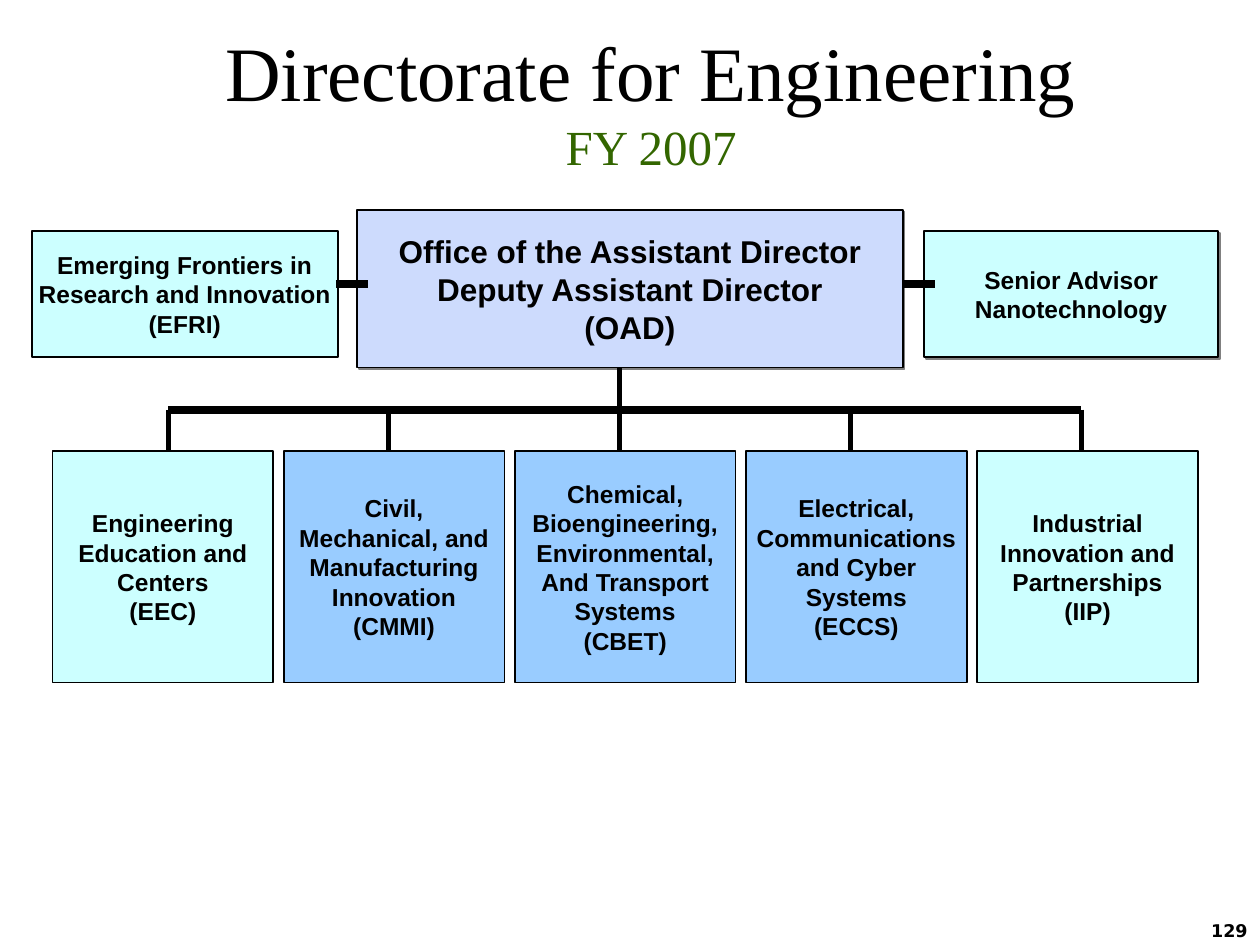
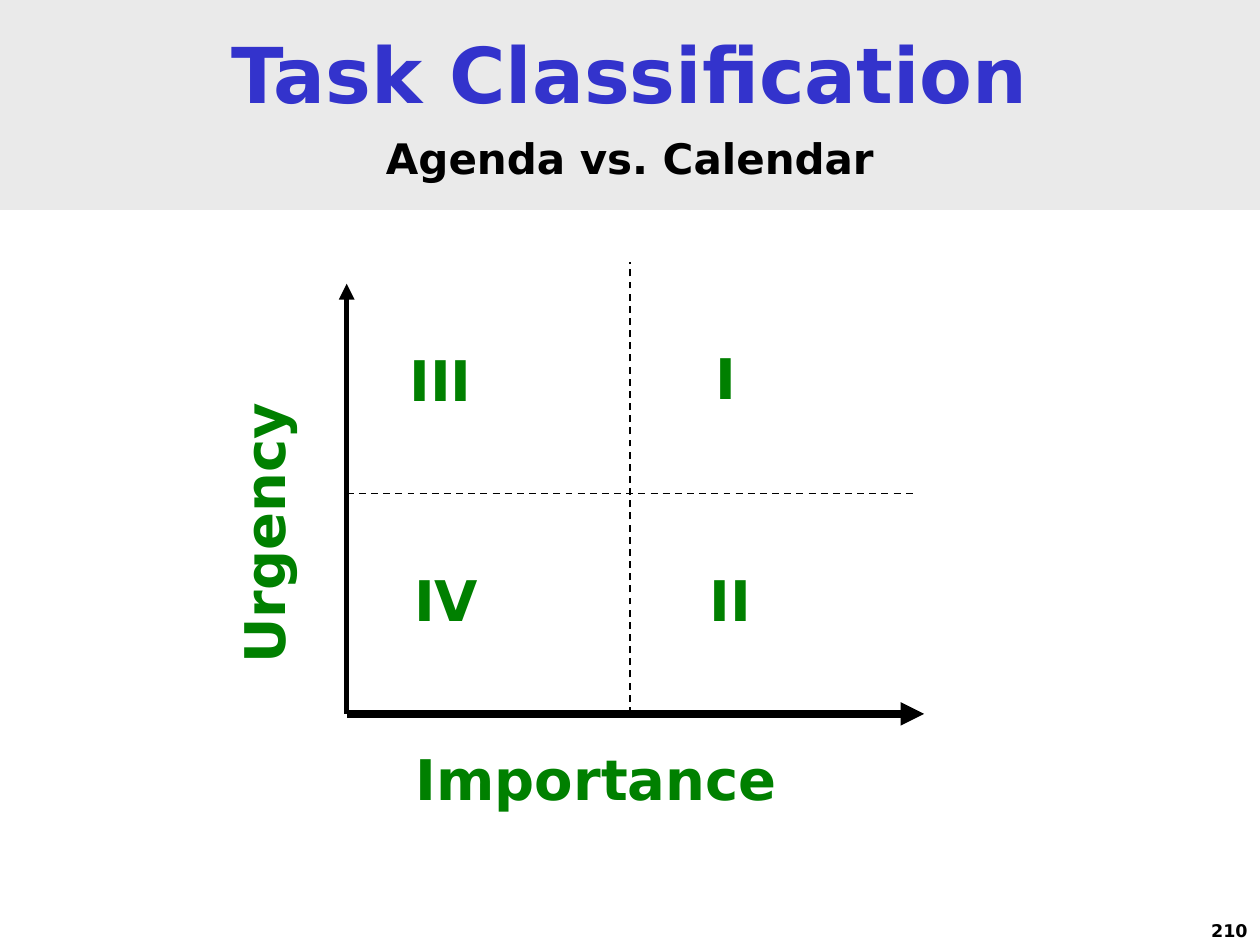
from dataclasses import dataclass

from lxml.etree import SubElement
from pptx import Presentation
from pptx.dml.color import RGBColor as RGB
from pptx.enum.dml import MSO_LINE_DASH_STYLE as DASH
from pptx.enum.shapes import MSO_CONNECTOR as CONN, MSO_SHAPE as SHAPE
from pptx.enum.text import MSO_ANCHOR as ANCHOR, MSO_AUTO_SIZE as FIT, PP_ALIGN as ALIGN
from pptx.oxml.ns import qn
from pptx.util import Cm, Pt


@dataclass(frozen=True)
class Theme:
    black: str = "000000"
    green: str = "336600"
    axis_green: str = "008000"
    blue: str = "3333CC"
    band: str = "EAEAEA"
    office: str = "CDDBFD"
    pale: str = "CCFFFF"
    division: str = "99CCFF"
    shadow: str = "808080"
    serif: str = "Times New Roman"
    sans: str = "Arial"
    wide: str = "DejaVu Sans"
    title: int = 44
    year: int = 28
    subtitle: int = 24
    label: int = 32
    lead: int = 18
    box: int = 14
    number: int = 10


T = Theme()


def write(tf, text, size, font, color=T.black, bold=True, align=ALIGN.CENTER,
          anchor=ANCHOR.MIDDLE, wrap=True, spacing=None, before=0, add=False):
    """Write one paragraph per line of text; add=True continues the frame."""
    tf.auto_size, tf.word_wrap, tf.vertical_anchor = FIT.NONE, wrap, anchor
    for i, row in enumerate(text.split("\n")):
        p = tf.add_paragraph() if add or i else tf.paragraphs[0]
        p.alignment = align
        if spacing:
            p.line_spacing = spacing
        if before:
            p.space_before = Pt(before)
        r = p.add_run()
        r.text = row
        r.font.size, r.font.name, r.font.bold = Pt(size), font, bold
        r.font.color.rgb = RGB.from_string(color)


def line(s, x1, y1, x2, y2, width, dash=False, arrow=False):
    c = s.shapes.add_connector(CONN.STRAIGHT, Cm(x1), Cm(y1), Cm(x2), Cm(y2))
    c.line.width = Pt(width)
    c.line.color.rgb = RGB.from_string(T.black)
    if dash:
        c.line.dash_style = DASH.DASH
    if arrow:
        SubElement(c.line._get_or_add_ln(), qn("a:tailEnd"), type="triangle")
    SubElement(c._element.spPr, qn("a:effectLst"))


prs = Presentation()
prs.slide_width, prs.slide_height = Cm(25.4), Cm(19.05)

# Shared frame: title placeholder and page number
slides = []
for number, (x, y, w, h) in (("129", (2.33, 0.42, 21.59, 3.18)),
                             ("210", (0, 0, 25.4, 4.23))):
    s = prs.slides.add_slide(prs.slide_layouts[5])
    title = s.shapes.title
    title.left, title.top, title.width, title.height = Cm(x), Cm(y), Cm(w), Cm(h)
    sp = s.shapes.add_textbox(Cm(20.12), Cm(18.42), Cm(5.28), Cm(1.27))
    write(sp.text_frame, number, T.number, T.wide, align=ALIGN.RIGHT, anchor=ANCHOR.TOP)
    slides.append(s)
org, tasks = slides

# Slide 1: title
tf = org.shapes.title.text_frame
tf.margin_left = tf.margin_right = tf.margin_top = tf.margin_bottom = 0
write(tf, "Directorate for Engineering", T.title, T.serif, bold=False)
write(tf, "FY 2007", T.year, T.serif, T.green, bold=False, add=True)

# Slide 1: boxes, as text, place, fill, type size and shadow
divisions = (
    ("Engineering\nEducation and\nCenters\n(EEC)", T.pale),
    ("Civil,\nMechanical, and\nManufacturing\nInnovation\n(CMMI)", T.division),
    ("Chemical,\nBioengineering,\nEnvironmental,\nAnd Transport\nSystems\n(CBET)", T.division),
    ("Electrical,\nCommunications\nand Cyber\nSystems\n(ECCS)", T.division),
    ("Industrial\nInnovation and\nPartnerships\n(IIP)", T.pale),
)
boxes = [
    ("Emerging Frontiers in\nResearch and Innovation\n(EFRI)",
     (0.64, 4.66, 6.17, 2.54), T.pale, T.box, False),
    ("Office of the Assistant Director\nDeputy Assistant Director\n(OAD)",
     (7.2, 4.23, 11, 3.18), T.office, T.lead, True),
    ("Senior Advisor\nNanotechnology",
     (18.63, 4.66, 5.93, 2.54), T.pale, T.box, True),
]
boxes += [(text, (1.06 + i * 4.66, 9.1, 4.45, 4.66), fill, T.box, False)
          for i, (text, fill) in enumerate(divisions)]

for text, place, fill, size, shadow in boxes:
    sp = org.shapes.add_shape(SHAPE.RECTANGLE, *(Cm(v) for v in place))
    sp.fill.solid()
    sp.fill.fore_color.rgb = RGB.from_string(fill)
    sp.line.color.rgb = RGB.from_string(T.black)
    sp.line.width = Pt(1)
    sp.shadow.inherit = False
    if shadow:
        effects = sp._element.spPr.find(qn("a:effectLst"))
        outer = SubElement(effects, qn("a:outerShdw"), dist=str(Pt(1.4)), dir="2700000")
        SubElement(outer, qn("a:srgbClr"), val=T.shadow)
    write(sp.text_frame, text, size, T.sans, wrap=False)

# Slide 1: side links, bus, trunk and drops
for x in (6.77, 18.2):
    line(org, x, 5.72, x + 0.64, 5.72, 4.5)
drops = (3.39, 7.83, 12.49, 17.14, 21.8)
bus_y = 8.26
line(org, drops[-1], bus_y, drops[0], bus_y, 4.5)
for i, x in enumerate(drops):
    line(org, x, 7.41 if i == 2 else bus_y, x, 9.1, 3)

# Slide 2: title band
title = tasks.shapes.title
title.fill.solid()
title.fill.fore_color.rgb = RGB.from_string(T.band)
write(title.text_frame, "Task Classification", T.title, T.wide, T.blue)
write(title.text_frame, "Agenda vs. Calendar", T.subtitle, T.wide, before=8, add=True)

# Slide 2: axes and quadrant lines
x0, y0 = 6.99, 14.39
line(tasks, x0, y0, 18.63, y0, 4.5, arrow=True)
line(tasks, x0, y0, x0, 5.72, 3, arrow=True)
line(tasks, x0, 9.95, 18.42, 9.95, 1, dash=True)
line(tasks, 12.7, y0, 12.7, 5.29, 1, dash=True)

# Slide 2: axis and quadrant labels
for text, x, y, w, h in (
    ("Importance", 8.13, 15.04, 9.04, 1.48),
    ("Urgency", 4.65, 6.5, 1.73, 6.88),
    ("I", 14.17, 6.96, 2.84, 1.48),
    ("II", 14.05, 11.43, 3.28, 1.48),
    ("IV", 8.1, 11.43, 3.58, 1.48),
    ("III", 8, 6.99, 3.73, 1.48),
):
    tf = tasks.shapes.add_textbox(Cm(x), Cm(y), Cm(w), Cm(h)).text_frame
    if h > w:  # upright label, read from bottom to top
        tf._txBody.bodyPr.set("vert", "vert270")
        tf.margin_left = tf.margin_right = Cm(0.13)
        tf.margin_top = tf.margin_bottom = 0
    write(tf, text, T.label, T.wide, T.axis_green, align=ALIGN.LEFT,
          anchor=ANCHOR.TOP, spacing=0.9)

prs.save("out.pptx")
